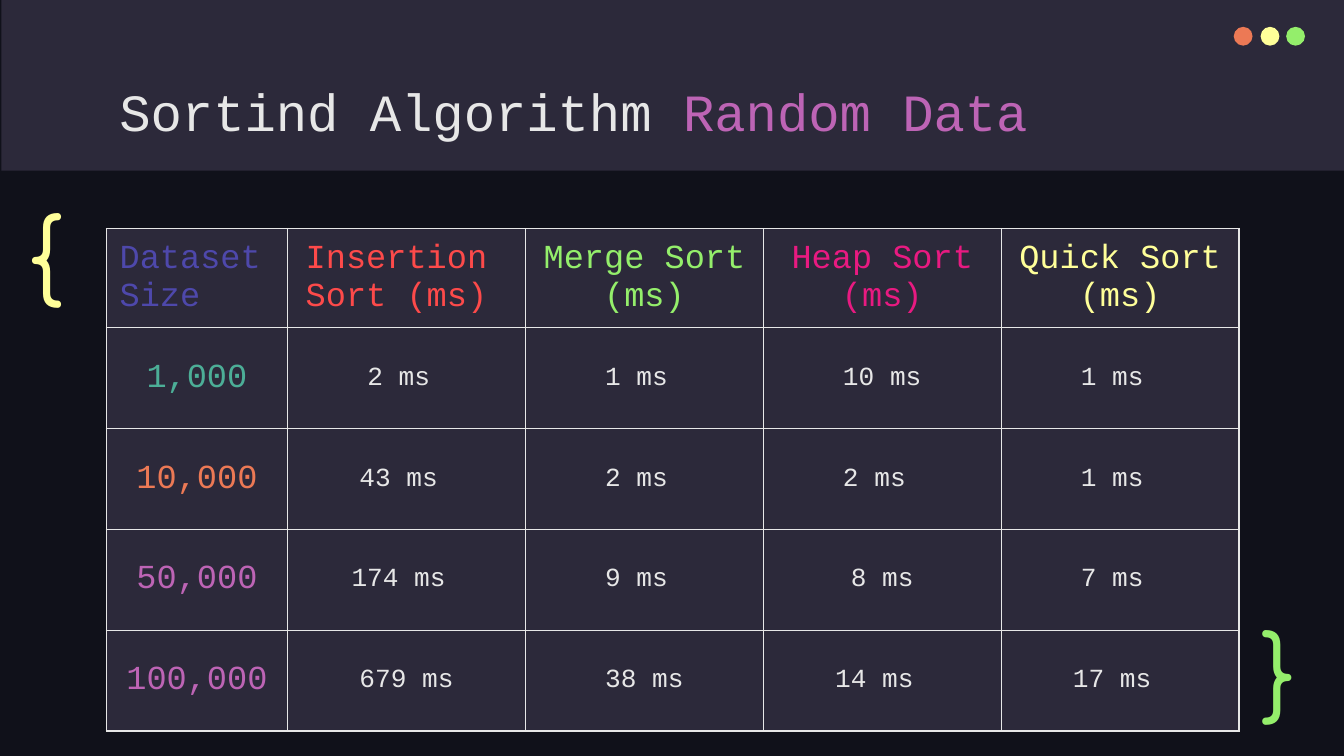
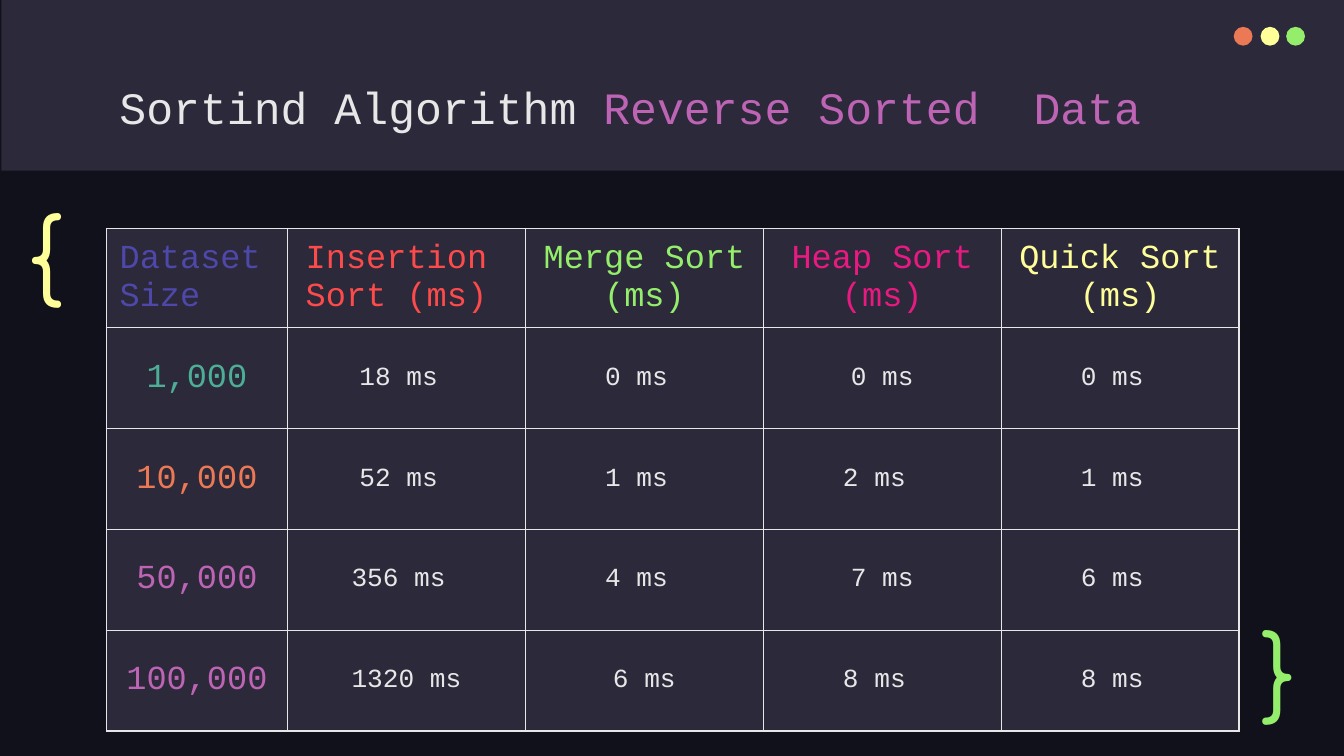
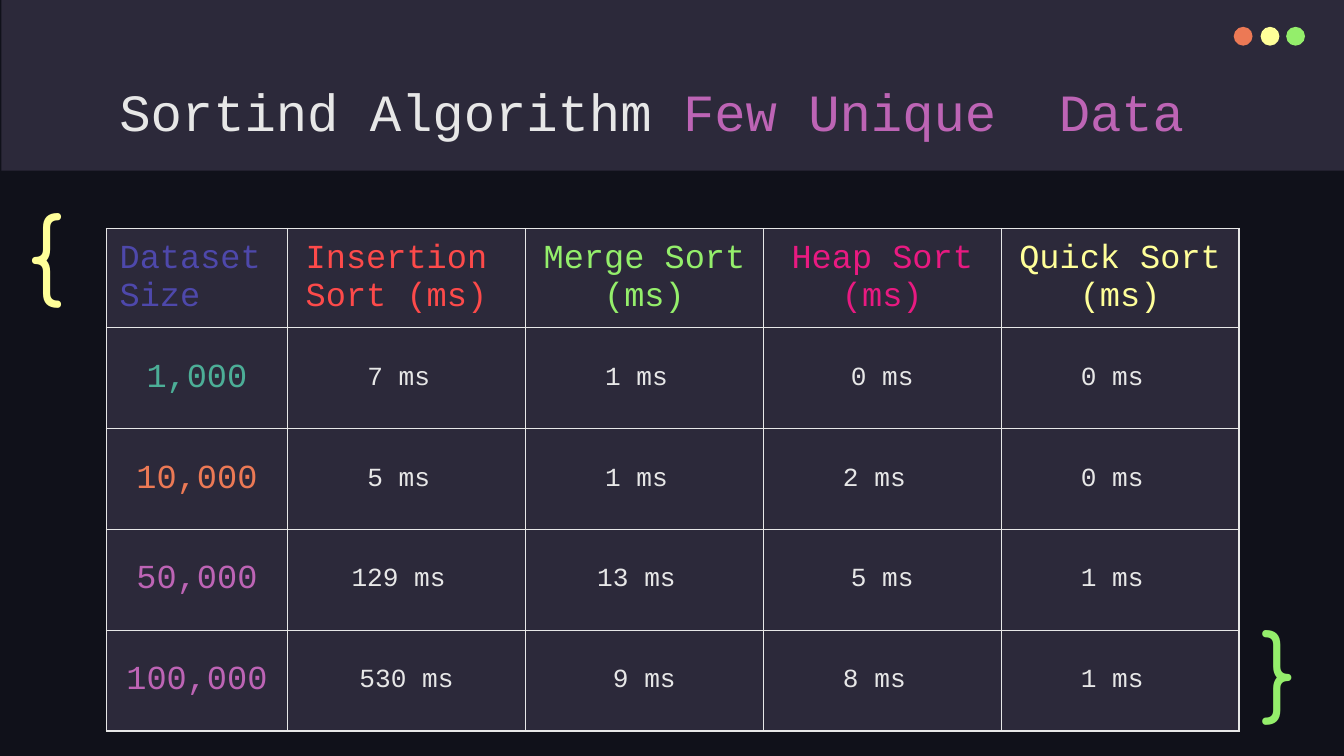
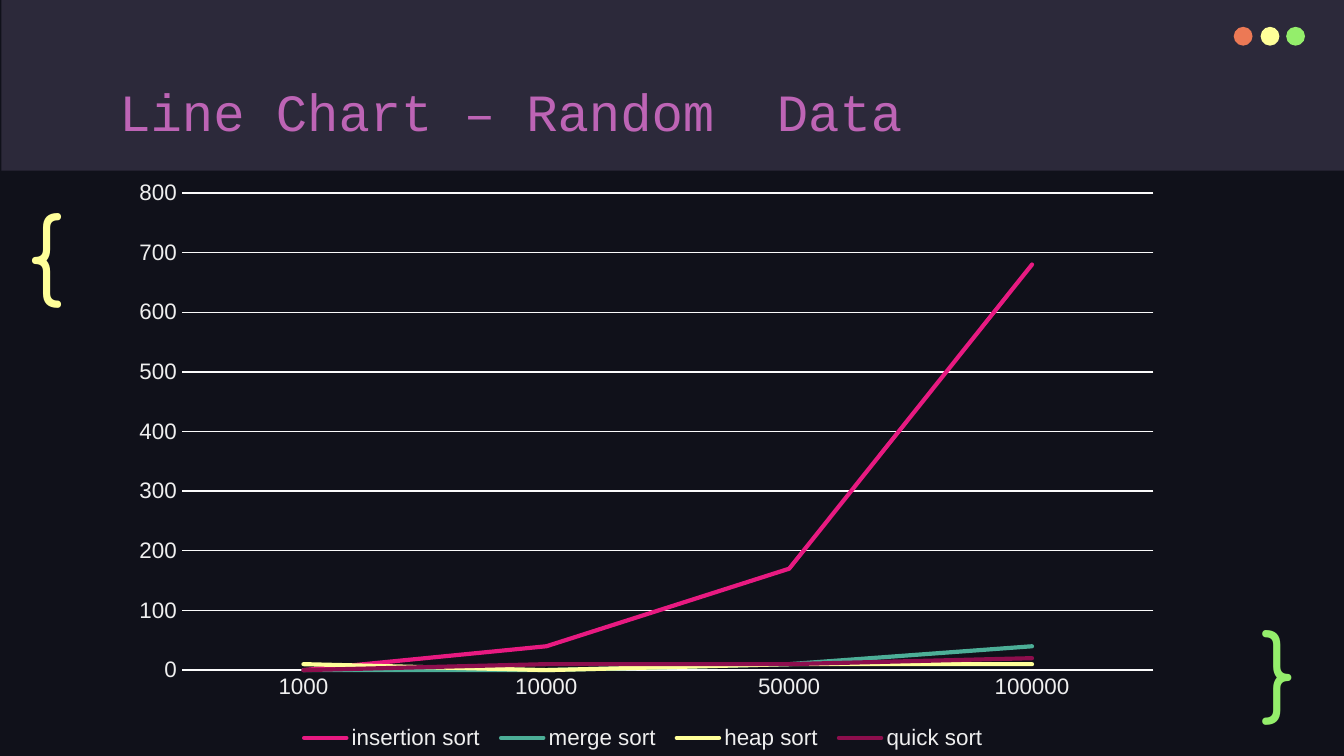
from pptx import Presentation
from pptx.chart.data import CategoryChartData
from pptx.dml.color import RGBColor
from pptx.enum import chart as ch, shapes, text
from pptx.oxml import parse_xml
from pptx.oxml.ns import nsdecls
from pptx.util import Inches, Pt

NIGHT = RGBColor(0x10, 0x11, 0x1A)
PANEL = RGBColor(0x2C, 0x29, 0x3A)
LIGHT = RGBColor(0xE7, 0xE7, 0xE7)
PALE = RGBColor(0xEF, 0xEF, 0xEF)
GRID = RGBColor(0xFB, 0xFB, 0xFB)
ORANGE = RGBColor(0xEC, 0x79, 0x55)
YELLOW = RGBColor(0xFF, 0xFF, 0x99)
GREEN = RGBColor(0x94, 0xEE, 0x6B)
VIOLET = RGBColor(0xBD, 0x64, 0xB5)
INDIGO = RGBColor(0x4E, 0x48, 0xAB)
RED = RGBColor(0xFD, 0x4A, 0x4A)
PINK = RGBColor(0xE8, 0x1A, 0x81)
TEAL = RGBColor(0x4C, 0xAE, 0x97)
WINE = RGBColor(0x8D, 0x0E, 0x4D)
MONO = "Courier New"
LEFT, MID = text.PP_ALIGN.LEFT, text.PP_ALIGN.CENTER


def write(item, *lines, size=14, color=LIGHT, font=MONO, align=LEFT, pad=0.1):
    """Each line is a string, or a list of (string, colour) runs."""
    frame = item.text_frame
    item.margin_left = item.margin_right = Inches(0.1)
    item.margin_top = item.margin_bottom = Inches(pad)
    for i, line in enumerate(lines):
        para = frame.paragraphs[0] if i == 0 else frame.add_paragraph()
        para.alignment = align
        for words, tint in [(line, color)] if isinstance(line, str) else line:
            run = para.add_run()
            run.text = words
            run.font.size, run.font.name = Pt(size), font
            run.font.color.rgb = tint


def draw(slide, kind, box, color):
    shape = slide.shapes.add_shape(kind, *map(Inches, box))
    shape.shadow.inherit = False
    shape.fill.solid()
    shape.fill.fore_color.rgb = color
    shape.line.fill.background()


# Titles and timings
LEAD = ("Sortind Algorithm ", LIGHT)
TITLES = [
    (28, [LEAD, ("Random Data", VIOLET)]),
    (24, [LEAD, ("Reverse Sorted  Data", VIOLET)]),
    (28, [LEAD, ("Few Unique  Data", VIOLET)]),
    (28, [("Line Chart – Random  Data", VIOLET)]),
]
HEADS = [
    (("Dataset", "Size"), INDIGO, LEFT),
    (("Insertion ", "Sort (ms) "), RED, MID),
    (("Merge Sort ", "(ms)"), GREEN, MID),
    (("Heap Sort", "(ms)"), PINK, MID),
    (("Quick Sort", "(ms)"), YELLOW, MID),
]
SIZES = [(1000, TEAL), (10000, ORANGE), (50000, VIOLET), (100000, VIOLET)]
TIMES = [
    [("2 ms ", "1 ms ", "10 ms", "1 ms "),
     ("43 ms ", "2 ms ", "2 ms ", "1 ms "),
     ("174 ms ", "9 ms ", "8 ms", "7 ms "),
     ("679 ms", "38 ms", "14 ms ", "17 ms ")],
    [("18 ms ", "0 ms ", "0 ms", "0 ms "),
     ("52 ms ", "1 ms ", "2 ms ", "1 ms "),
     ("356 ms ", "4 ms ", "7 ms", "6 ms "),
     ("1320 ms", "6 ms", "8 ms ", "8 ms ")],
    [("7 ms ", "1 ms ", "0 ms", "0 ms "),
     ("5 ms ", "1 ms ", "2 ms ", "0 ms "),
     ("129 ms ", "13 ms ", "5 ms", "1 ms "),
     ("530 ms", "9 ms", "8 ms ", "1 ms ")],
]
SERIES = [
    ("insertion sort ", (0, 40, 170, 680), PINK),
    ("merge sort ", (0, 0, 10, 40), TEAL),
    ("heap sort ", (10, 0, 10, 10), YELLOW),
    ("quick sort ", (0, 10, 10, 20), WINE),
]
BRACES = [("{", (0.11, 1.34, 0.77, 0.95), YELLOW),
          ("}", (9.29, 4.44, 0.57, 0.83), GREEN)]

deck = Presentation()
deck.slide_width = Inches(10)
deck.slide_height = deck.slide_width * 9 // 16

# Shared frame: background, band, dots, title, braces
for size, title in TITLES:
    slide = deck.slides.add_slide(deck.slide_layouts[6])
    slide.background.fill.solid()
    slide.background.fill.fore_color.rgb = NIGHT
    draw(slide, shapes.MSO_SHAPE.RECTANGLE, (0.01, 0, 10, 1.27), PANEL)
    for x, color in ((9.18, ORANGE), (9.38, YELLOW), (9.57, GREEN)):
        draw(slide, shapes.MSO_SHAPE.OVAL, (x, 0.2, 0.14, 0.14), color)
    head = slide.shapes.add_textbox(*map(Inches, (0.79, 0.49, 8.43, 0.63))).text_frame
    head.word_wrap = True
    for i, (words, color) in enumerate(title):
        run = head.paragraphs[0].add_run()
        run.text = words
        run.font.size, run.font.name = Pt(size), MONO
        run.font.color.rgb = color
    head.margin_left = head.margin_right = Inches(0.1)
    head.margin_top = head.margin_bottom = Inches(0.1)
    for mark, box, color in BRACES:
        brace = slide.shapes.add_textbox(*map(Inches, box))
        brace.text_frame.word_wrap = True
        brace.text_frame.margin_top = brace.text_frame.margin_bottom = Inches(0.1)
        write(brace, mark, size=50, color=color, font="Comfortaa")

# Timing tables
for slide, times in zip(deck.slides, TIMES):
    table = slide.shapes.add_table(5, 5, *map(Inches, (0.79, 1.7, 8.43, 3.74))).table
    table.first_row = table.horz_banding = False
    for i in range(5):
        table.columns[i].width = Inches(1.77 if i else 1.35)
        table.rows[i].height = Inches(0.75 if i else 0.72)
    for cell in table.iter_cells():
        cell.vertical_anchor = text.MSO_ANCHOR.MIDDLE
        props = cell._tc.get_or_add_tcPr()
        for side in "LRTB":
            props.append(parse_xml(
                f'<a:ln{side} {nsdecls("a")} w="{Pt(0.75)}"><a:solidFill>'
                f'<a:srgbClr val="{LIGHT}"/></a:solidFill></a:ln{side}>'))
        cell.fill.solid()
        cell.fill.fore_color.rgb = PANEL
    for col, (lines, color, align) in enumerate(HEADS):
        write(table.cell(0, col), *lines, size=18, color=color, align=align, pad=0.07)
    for row, ((count, color), line) in enumerate(zip(SIZES, times), 1):
        write(table.cell(row, 0), f"{count:,}", size=18, color=color, align=MID, pad=0.07)
        for col, time in enumerate(line, 1):
            write(table.cell(row, col), time, align=MID, pad=0.07)

# Line chart
data = CategoryChartData()
data.categories = [count for count, _ in SIZES]
for name, values, _ in SERIES:
    data.add_series(name, values)
chart = deck.slides[3].shapes.add_chart(
    ch.XL_CHART_TYPE.LINE, *map(Inches, (0.88, 1.26, 7.86, 4.36)), data).chart
chart.has_title = False
chart.has_legend = True
chart.legend.position = ch.XL_LEGEND_POSITION.BOTTOM
chart.legend.include_in_layout = False
chart.plots[0].vary_by_categories = False
cats, vals = chart.category_axis, chart.value_axis
cats.tick_labels.number_format = "#,##0"
cats.tick_labels.number_format_is_linked = False
for axis in (cats, vals):
    axis.major_tick_mark = axis.minor_tick_mark = ch.XL_TICK_MARK.NONE
for font, size, color in ((chart.font, 10, LIGHT), (chart.legend.font, 12, PALE),
                          (cats.tick_labels.font, 12, PALE),
                          (vals.tick_labels.font, 12, PALE)):
    font.size, font.name, font.color.rgb = Pt(size), "Arial", color
vals.has_major_gridlines = True
vals.minimum_scale, vals.maximum_scale, vals.major_unit = 0, 800, 100
vals.format.line.fill.background()
for line in (cats.format.line, vals.major_gridlines.format.line):
    line.width, line.color.rgb = Pt(0.75), GRID
for series, (_, _, color) in zip(chart.plots[0].series, SERIES):
    series.smooth = False
    series.marker.style = ch.XL_MARKER_STYLE.NONE
    line = series.format.line
    line.width, line.color.rgb = Pt(2.25), color
    line._get_or_add_ln().set("cap", "rnd")

deck.save("out.pptx")
